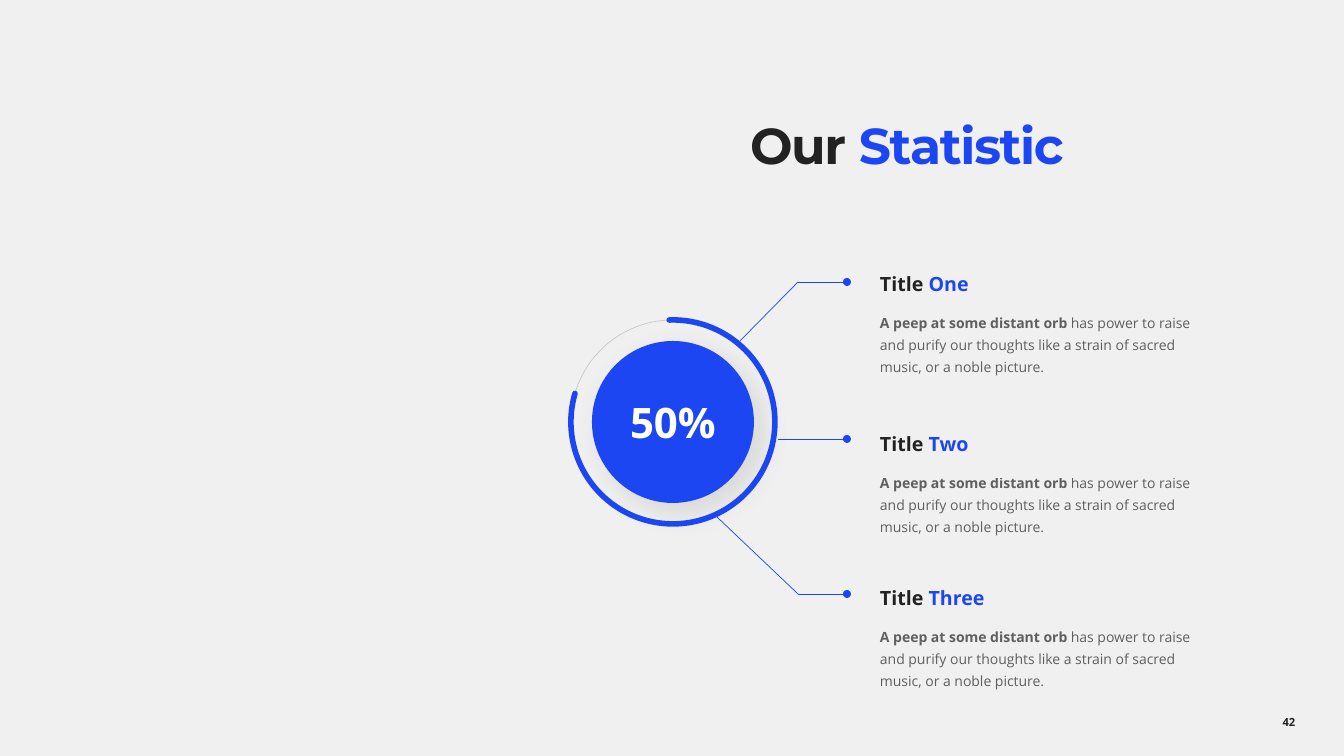
from dataclasses import dataclass
from itertools import pairwise

from lxml import etree
from pptx import Presentation
from pptx.dml.color import RGBColor
from pptx.enum.shapes import MSO_CONNECTOR, MSO_SHAPE
from pptx.enum.text import MSO_ANCHOR as Anchor, MSO_AUTO_SIZE as AutoSize, PP_ALIGN as Align
from pptx.oxml import parse_xml
from pptx.oxml.ns import nsdecls, qn
from pptx.util import Emu, Pt


@dataclass(frozen=True)
class Theme:
    background: RGBColor = RGBColor(0xF0, 0xF0, 0xF0)
    dark: RGBColor = RGBColor(0x22, 0x22, 0x22)
    blue: RGBColor = RGBColor(0x1D, 0x46, 0xF3)
    gray: RGBColor = RGBColor(0xC8, 0xC8, 0xC8)
    white: RGBColor = RGBColor(0xFF, 0xFF, 0xFF)
    heading_font: str = "Montserrat"
    body_font: str = "Open Sans"
    heading_size: int = 36
    percent_size: int = 30
    item_size: int = 14
    body_size: int = 10
    number_size: int = 8


theme = Theme()
PX = 9144000 / 1008


def px(*lengths):
    return [Emu(round(length * PX)) for length in lengths]


def write_runs(paragraph, size, runs, font=theme.body_font):
    """Add runs given as (text, colour, bold)."""
    for text, color, bold in runs:
        run = paragraph.add_run()
        run.text = text
        run.font.name = font
        run.font.size = Pt(size)
        run.font.bold = bold
        run.font.color.rgb = color


presentation = Presentation()
presentation.slide_width, presentation.slide_height = px(1344, 756)
slide = presentation.slides.add_slide(presentation.slide_layouts[6])
slide.background.fill.solid()
slide.background.fill.fore_color.rgb = theme.background

# Slide number
number = slide.shapes.add_textbox(*px(1234, 702, 110, 40)).text_frame
number.word_wrap = True
number.vertical_anchor = Anchor.MIDDLE
number.paragraphs[0].alignment = Align.CENTER
write_runs(number.paragraphs[0], theme.number_size, [("42", theme.dark, True)])

# Heading
heading = slide.shapes.add_textbox(*px(750, 105, 483, 138)).text_frame
heading.word_wrap = True
heading.margin_left, heading.margin_top, heading.margin_right, heading.margin_bottom = px(0, 21, 0, 0)
heading.paragraphs[0].line_spacing = 0.8
write_runs(heading.paragraphs[0], theme.heading_size,
           [("Our ", theme.dark, True), ("Statistic", theme.blue, True)], theme.heading_font)
for run in heading.paragraphs[0].runs:
    run.font._element.set("spc", "-100")

# Item texts
for top, name in ((261, "One"), (421, "Two"), (575, "Three")):
    item = slide.shapes.add_textbox(*px(880, top, 352, 119)).text_frame
    item.word_wrap = True
    item.auto_size = AutoSize.SHAPE_TO_FIT_TEXT
    item.margin_left, item.margin_top, item.margin_right, item.margin_bottom = px(0, 4, 24, 4)
    title, body = item.paragraphs[0], item.add_paragraph()
    title.line_spacing = body.line_spacing = 1.3
    body.space_before = Pt(10)
    write_runs(title, theme.item_size, [("Title ", theme.dark, True), (name, theme.blue, True)])
    write_runs(body, theme.body_size, [
        ("A peep at some distant orb ", theme.dark, True),
        ("has power to raise and purify our thoughts like a strain of sacred music, "
         "or a noble picture.", theme.dark, False),
    ])
    for color in body._p.iter(qn("a:srgbClr")):
        etree.SubElement(color, qn("a:alpha")).set("val", "70000")

# Gauge: thin ring, disc with the percentage, thick arc
gauge = slide.shapes.add_group_shape().shapes
ring_box = px(571, 320, 204, 204)
ring = gauge.add_shape(MSO_SHAPE.OVAL, *ring_box)
disc = gauge.add_shape(MSO_SHAPE.OVAL, *px(592, 341, 162, 162))
arc = gauge.add_shape(MSO_SHAPE.ARC, *ring_box)
arc.adjustments[0], arc.adjustments[1] = 160.75, 117.73

for outline, color, width in ((ring, theme.gray, 0.5), (arc, theme.blue, 4)):
    outline.shadow.inherit = False
    outline.fill.background()
    outline.line.color.rgb = color
    outline.line.width = Pt(width)
arc.line._get_or_add_ln().set("cap", "rnd")

disc.fill.solid()
disc.fill.fore_color.rgb = theme.blue
disc.line.fill.background()
disc._element.spPr.append(parse_xml(
    f'<a:effectLst {nsdecls("a")}>'
    f'<a:outerShdw blurRad="{Pt(20)}" dist="{Pt(10)}" dir="2700000" algn="tl" rotWithShape="0">'
    '<a:srgbClr val="000000"><a:alpha val="10000"/></a:srgbClr></a:outerShdw></a:effectLst>'))
percent = disc.text_frame
percent.margin_left = percent.margin_top = percent.margin_right = percent.margin_bottom = 0
percent.vertical_anchor = Anchor.MIDDLE
percent.paragraphs[0].alignment = Align.CENTER
write_runs(percent.paragraphs[0], theme.percent_size, [("50%", theme.white, True)])

# Leader lines, each ending in a dot
callouts = slide.shapes.add_group_shape().shapes
leaders = (
    [(740, 341), (798, 282), (846, 282)],
    [(778, 439), (846, 439)],
    [(716, 516), (798, 594), (846, 594)],
)
for points in leaders:
    for start, end in pairwise(points):
        leader = callouts.add_connector(MSO_CONNECTOR.STRAIGHT, *px(*start, *end))
        leader.line.color.rgb = theme.blue
        leader.line.width = Pt(0.5)
        etree.SubElement(leader._element.spPr, qn("a:effectLst"))
    x, y = points[-1]
    dot = callouts.add_shape(MSO_SHAPE.OVAL, *px(x - 3, y - 4, 8, 8))
    dot.shadow.inherit = False
    dot.fill.solid()
    dot.fill.fore_color.rgb = theme.blue
    dot.line.fill.background()

presentation.save("out.pptx")
